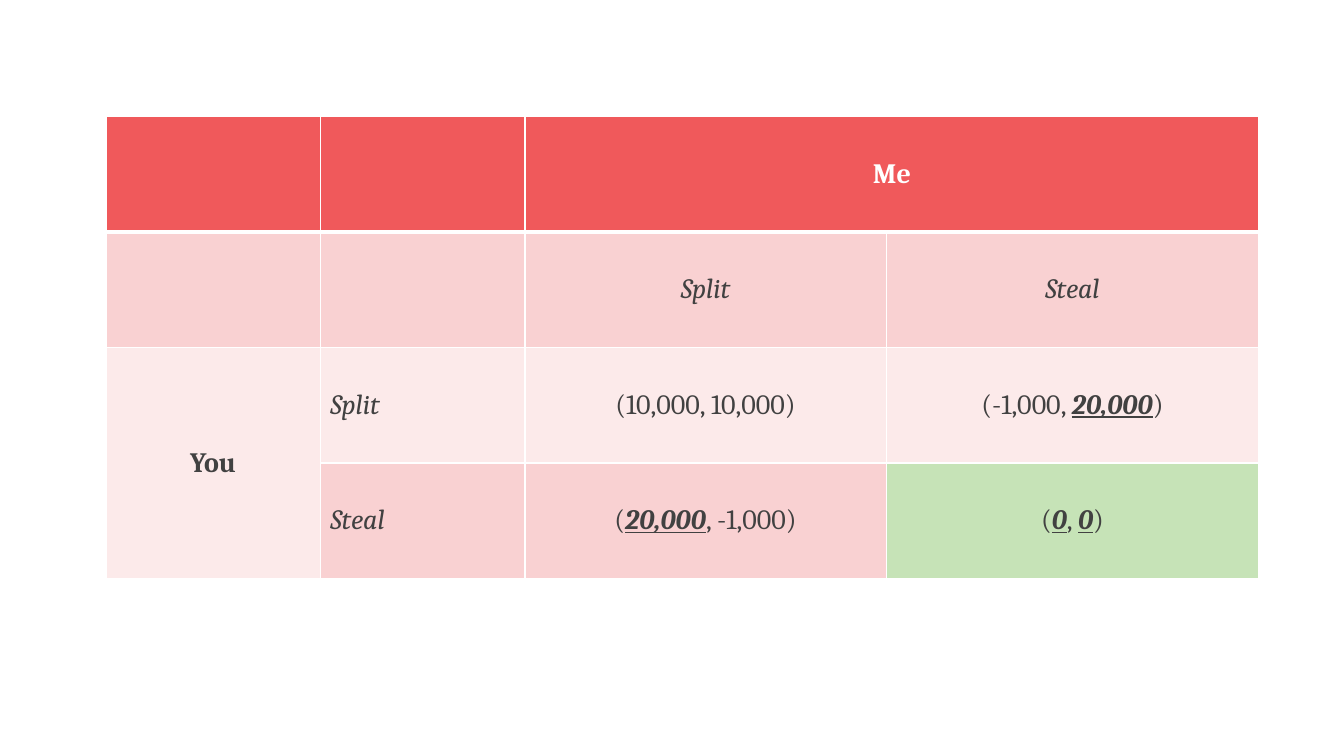
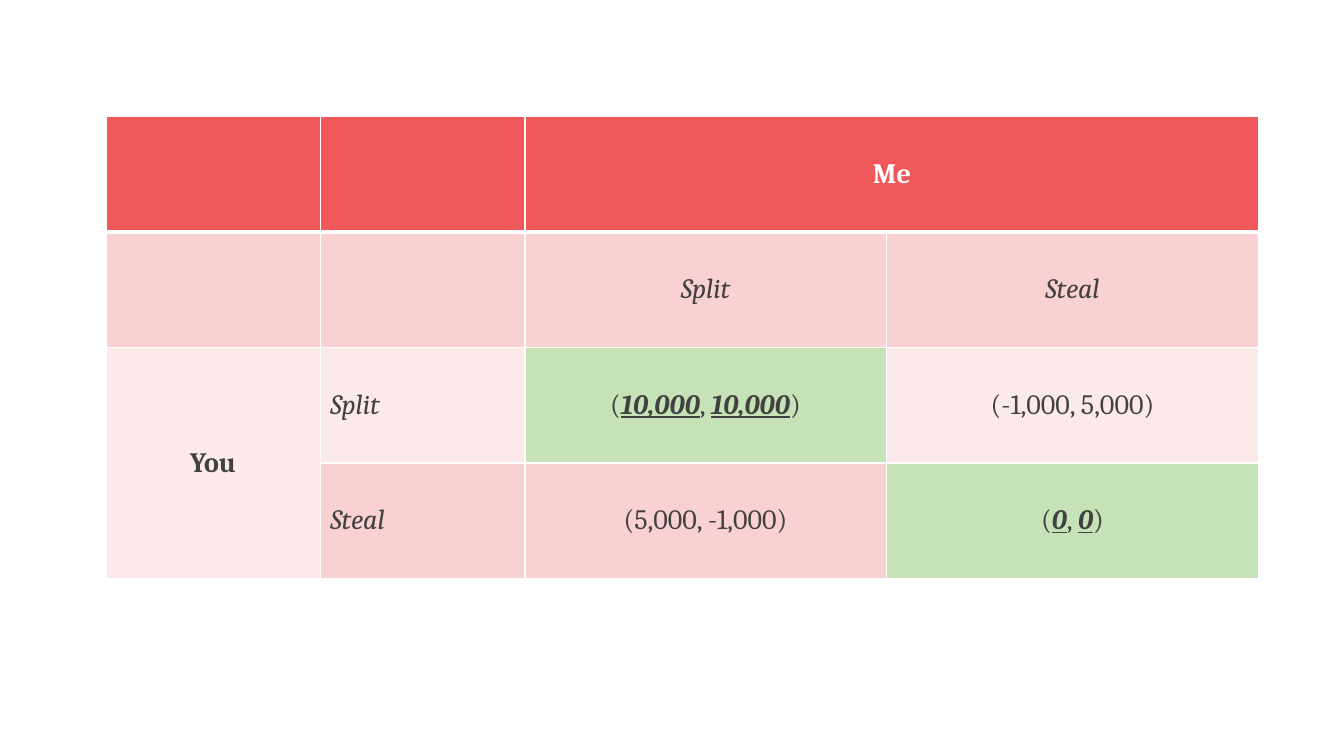
"""Build two payoff-matrix slides, with best replies and equilibria marked."""
import pptx
import pptx.dml.color
import pptx.enum.text
import pptx.oxml
import pptx.oxml.ns
import pptx.util

RGBColor = pptx.dml.color.RGBColor
RED = RGBColor(0xF0, 0x59, 0x5B)
PINK = RGBColor(0xF9, 0xD1, 0xD2)
PALE = RGBColor(0xFC, 0xEA, 0xEA)
GREEN = RGBColor(0xC6, 0xE3, 0xB7)
WHITE = RGBColor(0xFF, 0xFF, 0xFF)
INK = RGBColor(0x41, 0x41, 0x41)

PX = 9525
FONT = "Cambria"
LEFT, TOP = 101, 111
COL_WIDTHS = [204, 195, 344, 355]
ROW_HEIGHT = 110
ROW_FILLS = [RED, PINK, PALE, PINK]
THIN, THICK = 1, 3

PAYOFFS = [
    [["(10,000, 10,000)", "(-1,000, *20,000*)"],
     ["(*20,000*, -1,000)", "(*0*, *0*)"]],
    [["(*10,000*, *10,000*)", "(-1,000, 5,000)"],
     ["(5,000, -1,000)", "(*0*, *0*)"]],
]


def add_text(cell, text, color=INK, bold=False, italic=False, centered=True):
    """Write text in a cell; parts between asterisks are best replies."""
    p = cell.text_frame.paragraphs[0]
    align = pptx.enum.text.PP_ALIGN
    p.alignment = align.CENTER if centered else align.LEFT
    for i, part in enumerate(text.split("*")):
        if part:
            best = i % 2 == 1
            r = p.add_run()
            r.text = part
            r.font.name = FONT
            r.font.size = pptx.util.Pt(20)
            r.font.color.rgb = color
            r.font.bold = bold or best
            r.font.italic = italic or best
            r.font.underline = best


def style_cell(cell, fill, top, bottom):
    """Give a cell white borders, a fill and middle anchoring."""
    tc_pr = cell._tc.get_or_add_tcPr()
    for side, width in (("L", THIN), ("R", THIN), ("T", top), ("B", bottom)):
        tc_pr.append(pptx.oxml.parse_xml(
            f'<a:ln{side} {pptx.oxml.ns.nsdecls("a")} w="{pptx.util.Pt(width)}">'
            f'<a:solidFill><a:srgbClr val="{WHITE}"/></a:solidFill></a:ln{side}>'))
    cell.fill.solid()
    cell.fill.fore_color.rgb = fill
    cell.vertical_anchor = pptx.enum.text.MSO_ANCHOR.MIDDLE


prs = pptx.Presentation()
prs.slide_width = 1280 * PX
prs.slide_height = 720 * PX

for payoffs in PAYOFFS:
    s = prs.slides.add_slide(prs.slide_layouts[6])
    rows, cols = len(ROW_FILLS), len(COL_WIDTHS)
    table = s.shapes.add_table(
        rows, cols, LEFT * PX, TOP * PX,
        sum(COL_WIDTHS) * PX, rows * ROW_HEIGHT * PX).table
    table.horz_banding = False
    for column, width in zip(table.columns, COL_WIDTHS):
        column.width = width * PX

    for i, fill in enumerate(ROW_FILLS):
        top = THICK if i == 1 else THIN
        bottom = THICK if i == 0 else THIN
        for j in range(cols):
            style_cell(table.cell(i, j), fill, top, bottom)

    table.cell(0, 2).merge(table.cell(0, 3))
    table.cell(2, 0).merge(table.cell(3, 0))
    add_text(table.cell(0, 2), "Me", color=WHITE, bold=True)
    add_text(table.cell(2, 0), "You", bold=True)

    for i, move in enumerate(["Split", "Steal"]):
        add_text(table.cell(1, 2 + i), move, italic=True)
        add_text(table.cell(2 + i, 1), move, italic=True, centered=False)
        for j, payoff in enumerate(payoffs[i]):
            cell = table.cell(2 + i, 2 + j)
            add_text(cell, payoff)
            if payoff.count("*") == 4:
                cell.fill.fore_color.rgb = GREEN

prs.save("out.pptx")
